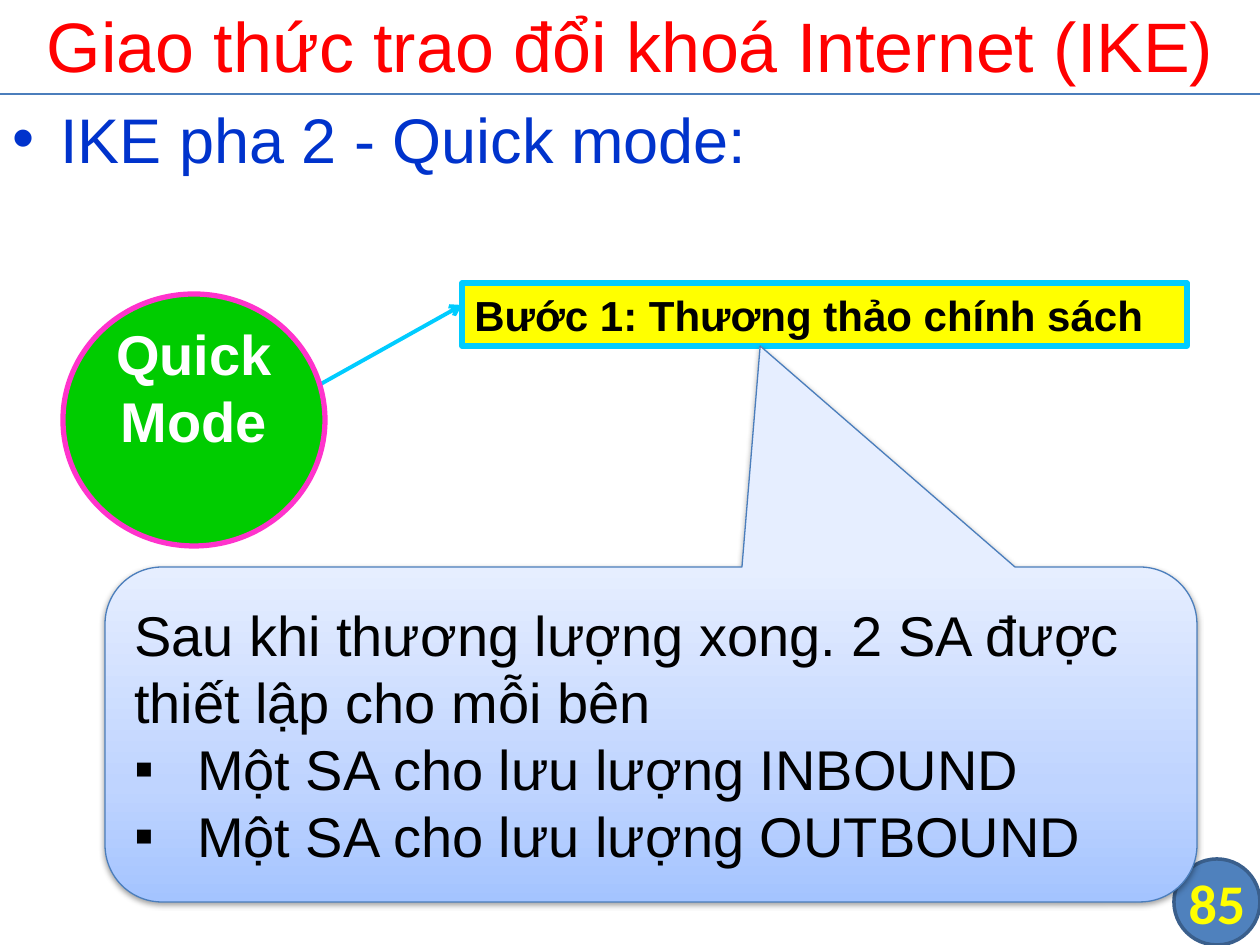
import pptx
import pptx.dml.color
import pptx.enum.shapes
import pptx.enum.text
import pptx.oxml
import pptx.oxml.ns
import pptx.util
from dataclasses import dataclass

EMU_PER_PX = 914400 / 126
SLIDE_WIDTH, SLIDE_HEIGHT = 1260, 945
SHAPES = pptx.enum.shapes.MSO_SHAPE
ANCHORS = pptx.enum.text.MSO_ANCHOR
ALIGNMENTS = pptx.enum.text.PP_ALIGN
NAMESPACE = pptx.oxml.ns.nsdecls("a")


@dataclass(frozen=True)
class Theme:
    font: str = "Arial"
    number_font: str = "Calibri"
    title_size: int = 40
    heading_size: int = 36
    body_size: int = 32
    step_size: int = 24
    title: str = "FF0000"
    heading: str = "0033CC"
    text: str = "000000"
    light_text: str = "FFFFFF"
    number: str = "FFFF00"
    badge: str = "4F81BD"
    badge_line: str = "3A5F8C"
    rule: str = "4B7EBC"
    accent: str = "00CCFF"
    step: str = "FFFF00"
    mode: str = "00CC00"
    mode_line: str = "FF33CC"
    callout_stops: tuple = ((0, "A4C4FF"), (35, "BFD4FF"), (100, "E6EEFF"))


THEME = Theme()


def px(length):
    return pptx.util.Emu(round(length * EMU_PER_PX))


def rgb(value):
    return pptx.dml.color.RGBColor.from_string(value)


def set_attributes(target, values):
    for name, value in values.items():
        setattr(target, name, value)


def add_xml(parent, xml):
    element = pptx.oxml.parse_xml(xml)
    parent.append(element)
    return element


def set_line(line, color, width):
    line.color.rgb = rgb(color)
    line.width = pptx.util.Pt(width)


def set_bullet(paragraph, character, indent):
    """Hang the paragraph by indent px behind a bullet character."""
    properties = paragraph._p.get_or_add_pPr()
    properties.set("marL", str(px(indent)))
    properties.set("indent", str(-px(indent)))
    add_xml(properties, f'<a:buFont {NAMESPACE} typeface="{THEME.font}"/>')
    add_xml(properties, f'<a:buChar {NAMESPACE} char="{character}"/>')


def write_text(shape, paragraphs, size, color, font=THEME.font, bold=False,
               align=ALIGNMENTS.LEFT, bullet=None, **frame_values):
    """Fill a shape with text; bullet is (character, indent px, first bulleted index)."""
    frame = shape.text_frame
    set_attributes(frame, {"word_wrap": True, **frame_values})
    for index, text in enumerate(paragraphs):
        paragraph = frame.paragraphs[0] if index == 0 else frame.add_paragraph()
        paragraph.text = text
        paragraph.alignment = align
        if bullet and index >= bullet[2]:
            set_bullet(paragraph, *bullet[:2])
        set_attributes(paragraph.font, {"name": font, "size": pptx.util.Pt(size), "bold": bold})
        paragraph.font.color.rgb = rgb(color)


def add_text(slide, box, paragraphs, size, color, **text_values):
    shape = slide.shapes.add_textbox(*map(px, box))
    write_text(shape, paragraphs, size, color, **text_values)


def add_shape(slide, kind, box, fill, line, line_width):
    """Add a flat preset shape; a fill of None leaves the fill to the caller."""
    shape = slide.shapes.add_shape(kind, *map(px, box))
    shape.shadow.inherit = False
    if fill:
        shape.fill.solid()
        shape.fill.fore_color.rgb = rgb(fill)
    set_line(shape.line, line, line_width)
    return shape


def add_line(slide, start, end, color, width, arrow=False):
    connector = slide.shapes.add_connector(
        pptx.enum.shapes.MSO_CONNECTOR.STRAIGHT, *map(px, (*start, *end)))
    set_line(connector.line, color, width)
    if arrow:
        add_xml(connector.line._get_or_add_ln(), f'<a:tailEnd {NAMESPACE} type="arrow"/>')
    add_xml(connector._element.spPr, f"<a:effectLst {NAMESPACE}/>")


def add_callout(slide, box, adjustments):
    """Add a speech bubble with an upward gradient and a soft shadow."""
    shape = add_shape(slide, SHAPES.ROUNDED_RECTANGULAR_CALLOUT, box, None, THEME.rule, 0.75)
    for index, value in enumerate(adjustments):
        shape.adjustments[index] = value
    stops = "".join(f'<a:gs pos="{position * 1000}"><a:srgbClr val="{color}"/></a:gs>'
                    for position, color in THEME.callout_stops)
    gradient = pptx.oxml.parse_xml(
        f'<a:gradFill {NAMESPACE} rotWithShape="1"><a:gsLst>{stops}</a:gsLst>'
        '<a:lin ang="16200000" scaled="0"/></a:gradFill>')
    properties = shape._element.spPr
    properties.find(pptx.oxml.ns.qn("a:prstGeom")).addnext(gradient)
    effects = properties.find(pptx.oxml.ns.qn("a:effectLst"))
    add_xml(effects, f'<a:outerShdw {NAMESPACE} blurRad="40000" dist="20000" dir="5400000" '
                     'rotWithShape="0"><a:srgbClr val="000000"><a:alpha val="38000"/>'
                     '</a:srgbClr></a:outerShdw>')
    return shape


def add_frame(slide):
    """Add the page badge, the title and the rule below it."""
    badge_box = (1174, 859, 86, 86)
    add_shape(slide, SHAPES.FLOWCHART_CONNECTOR, badge_box, THEME.badge, THEME.badge_line, 2)
    add_line(slide, (0, 94), (SLIDE_WIDTH, 94), THEME.rule, 0.75)
    add_text(slide, (0, -4, SLIDE_WIDTH, 98), ["Giao thức trao đổi khoá Internet (IKE)"],
             THEME.title_size, THEME.title, align=ALIGNMENTS.CENTER,
             vertical_anchor=ANCHORS.MIDDLE)
    add_text(slide, badge_box, ["85"], THEME.body_size, THEME.number,
             font=THEME.number_font, bold=True, align=ALIGNMENTS.CENTER,
             vertical_anchor=ANCHORS.MIDDLE, margin_left=0, margin_right=0,
             margin_top=0, margin_bottom=0)


def add_diagram(slide):
    add_line(slide, (294, 399), (462, 305), THEME.accent, 2.25, arrow=True)

    step = add_shape(slide, SHAPES.RECTANGLE, (462, 283, 725, 63), THEME.step, THEME.accent, 3)
    write_text(step, ["Bước 1: Thương thảo chính sách"], THEME.step_size, THEME.text,
               bold=True, vertical_anchor=ANCHORS.TOP)

    callout = add_callout(slide, (105, 567, 1092, 335), (0.1, -1.16, 0.17))
    write_text(callout, ["Sau khi thương lượng xong. 2 SA được thiết lập cho mỗi bên",
                         "Một SA cho lưu lượng INBOUND",
                         "Một SA cho lưu lượng OUTBOUND"],
               THEME.body_size, THEME.text, bullet=("▪", 63, 1),
               vertical_anchor=ANCHORS.MIDDLE)

    mode = add_shape(slide, SHAPES.OVAL, (63, 294, 262, 252), THEME.mode, THEME.mode_line, 3)
    write_text(mode, ["Quick Mode"], THEME.body_size, THEME.light_text, bold=True,
               align=ALIGNMENTS.CENTER, vertical_anchor=ANCHORS.MIDDLE, margin_bottom=px(73))


def main():
    presentation = pptx.Presentation()
    presentation.slide_width, presentation.slide_height = px(SLIDE_WIDTH), px(SLIDE_HEIGHT)
    slide = presentation.slides.add_slide(presentation.slide_layouts[6])
    add_frame(slide)
    add_text(slide, (0, 94, SLIDE_WIDTH, 851), ["IKE pha 2 - Quick mode:"],
             THEME.heading_size, THEME.heading, bullet=("•", 48, 0))
    add_diagram(slide)
    presentation.save("out.pptx")


if __name__ == "__main__":
    main()
